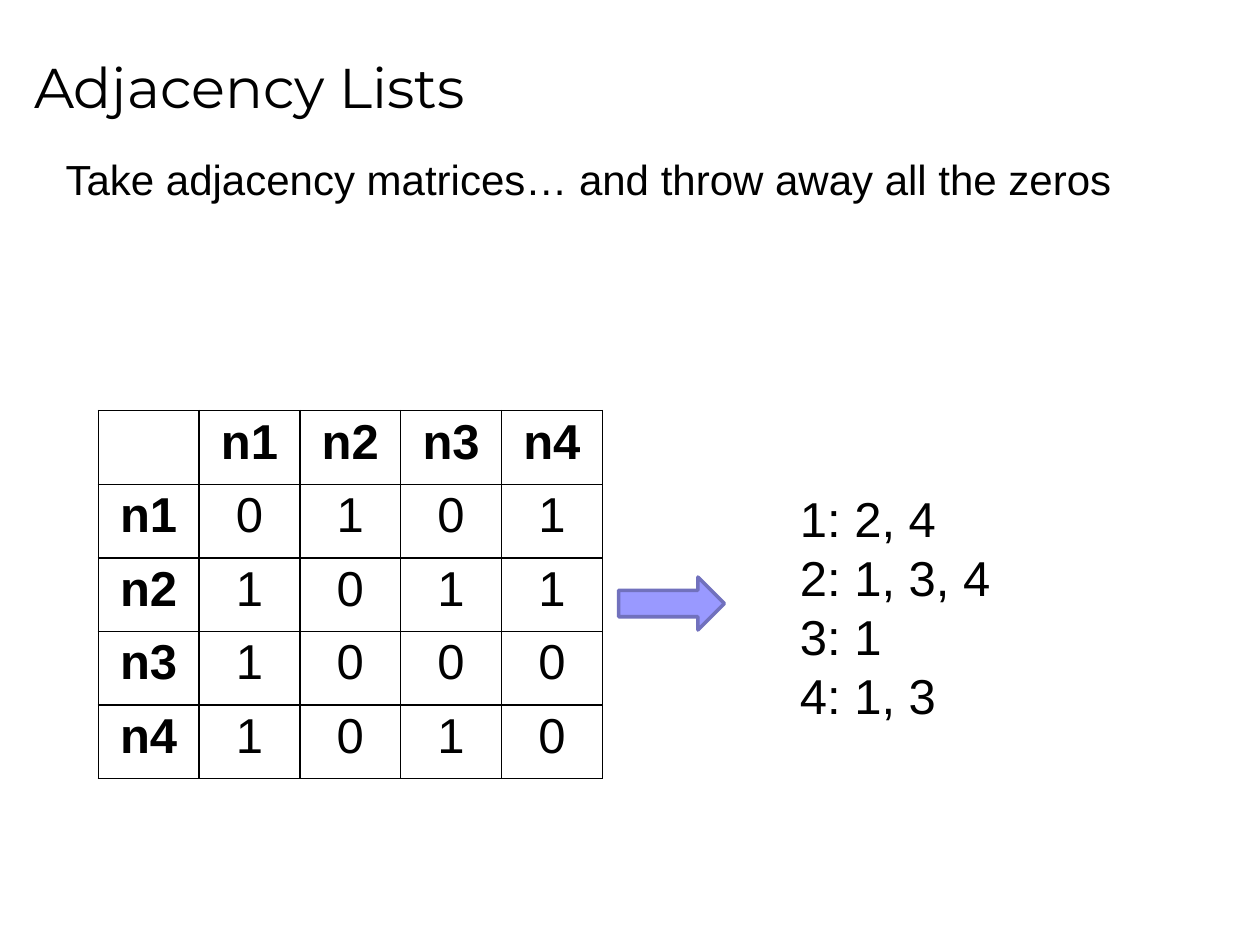
from lxml.etree import SubElement
from pptx import Presentation
from pptx.dml.color import RGBColor
from pptx.enum.shapes import MSO_SHAPE
from pptx.enum.text import MSO_ANCHOR, MSO_AUTO_SIZE, PP_ALIGN
from pptx.oxml.ns import qn
from pptx.util import Inches, Pt

BLACK = RGBColor(0x00, 0x00, 0x00)
LAVENDER = RGBColor(0x99, 0x99, 0xFF)
INDIGO = RGBColor(0x71, 0x71, 0xBD)

ADJACENCY = [
    [0, 1, 0, 1],
    [1, 0, 1, 1],
    [1, 0, 0, 0],
    [1, 0, 1, 0],
]
NEIGHBOURS = ["1: 2, 4", "2: 1, 3, 4", "3: 1", "4: 1, 3"]


def write_text(para, text, font="Arial", size=28, bold=False, align=PP_ALIGN.LEFT):
    """Put one formatted run into a paragraph."""
    para.alignment = align
    span = para.add_run()
    span.text = text
    span.font.name = font
    span.font.size = Pt(size)
    span.font.bold = bold
    span.font.color.rgb = BLACK


def place(shape, left, top, width, height):
    """Move and size a shape, in inches."""
    shape.left, shape.top = Inches(left), Inches(top)
    shape.width, shape.height = Inches(width), Inches(height)


def fill_title(page, text):
    """Fill the title placeholder."""
    title = page.shapes.title
    place(title, 0.17, 0.12, 9.5, 1.12)
    title.text_frame.vertical_anchor = MSO_ANCHOR.MIDDLE
    write_text(title.text_frame.paragraphs[0], text, font="Montserrat", size=32)


def fill_body(page, text):
    """Fill the body placeholder with one unbulleted, hanging paragraph."""
    body = page.placeholders[1]
    place(body, 0.42, 1.17, 9.25, 5.58)
    para = body.text_frame.paragraphs[0]
    write_text(para, text, size=24)
    para.space_before = para.space_after = Pt(3)
    properties = para._p.get_or_add_pPr()
    properties.set("marL", str(Inches(0.37)))
    properties.set("indent", str(-Inches(0.37)))
    SubElement(properties, qn("a:buNone"))


def add_lines(page, lines):
    """Add a text box with one paragraph per line."""
    box = page.shapes.add_textbox(Inches(6.25), Inches(3.83), Inches(1.75), Inches(1.99))
    frame = box.text_frame
    frame.word_wrap = False
    frame.auto_size = MSO_AUTO_SIZE.SHAPE_TO_FIT_TEXT
    for index, line in enumerate(lines):
        para = frame.add_paragraph() if index else frame.paragraphs[0]
        write_text(para, line)


def add_arrow(page):
    """Add the block arrow between the matrix and the lists."""
    arrow = page.shapes.add_shape(
        MSO_SHAPE.RIGHT_ARROW, Inches(4.91), Inches(4.58), Inches(0.84), Inches(0.42))
    arrow.shadow.inherit = False
    arrow.fill.solid()
    arrow.fill.fore_color.rgb = LAVENDER
    arrow.line.color.rgb = INDIGO
    arrow.line.width = Pt(2)


def add_borders(cell):
    """Draw a thin black line on all four sides of a cell."""
    properties = cell._tc.get_or_add_tcPr()
    for side in ("lnL", "lnR", "lnT", "lnB"):
        line = SubElement(properties, qn(f"a:{side}"), w=str(Pt(1)))
        solid = SubElement(line, qn("a:solidFill"))
        SubElement(solid, qn("a:srgbClr"), val=str(BLACK))


def add_matrix(page, matrix):
    """Add the adjacency matrix with node names on the top and left."""
    names = [f"n{number}" for number in range(1, len(matrix) + 1)]
    rows = [["", *names]] + [[name, *map(str, row)] for name, row in zip(names, matrix)]
    count = len(rows)
    table = page.shapes.add_table(
        count, count, Inches(0.78), Inches(3.26), Inches(4), Inches(2.92)).table
    table.first_row = table.horz_banding = False
    for row_index, row in enumerate(rows):
        for column_index, text in enumerate(row):
            cell = table.cell(row_index, column_index)
            add_borders(cell)
            cell.fill.background()
            cell.vertical_anchor = MSO_ANCHOR.MIDDLE
            if text:
                para = cell.text_frame.paragraphs[0]
                para.line_spacing = 0.71
                para.space_before = Pt(8)
                write_text(para, text, bold=text in names, align=PP_ALIGN.CENTER)


def main():
    """Build and save the slide."""
    deck = Presentation()
    deck.slide_width, deck.slide_height = Inches(10), Inches(7.5)
    page = deck.slides.add_slide(deck.slide_layouts[1])
    fill_title(page, "Adjacency Lists")
    fill_body(page, "Take adjacency matrices… and throw away all the zeros")
    add_lines(page, NEIGHBOURS)
    add_arrow(page)
    add_matrix(page, ADJACENCY)
    deck.save("out.pptx")


if __name__ == "__main__":
    main()
